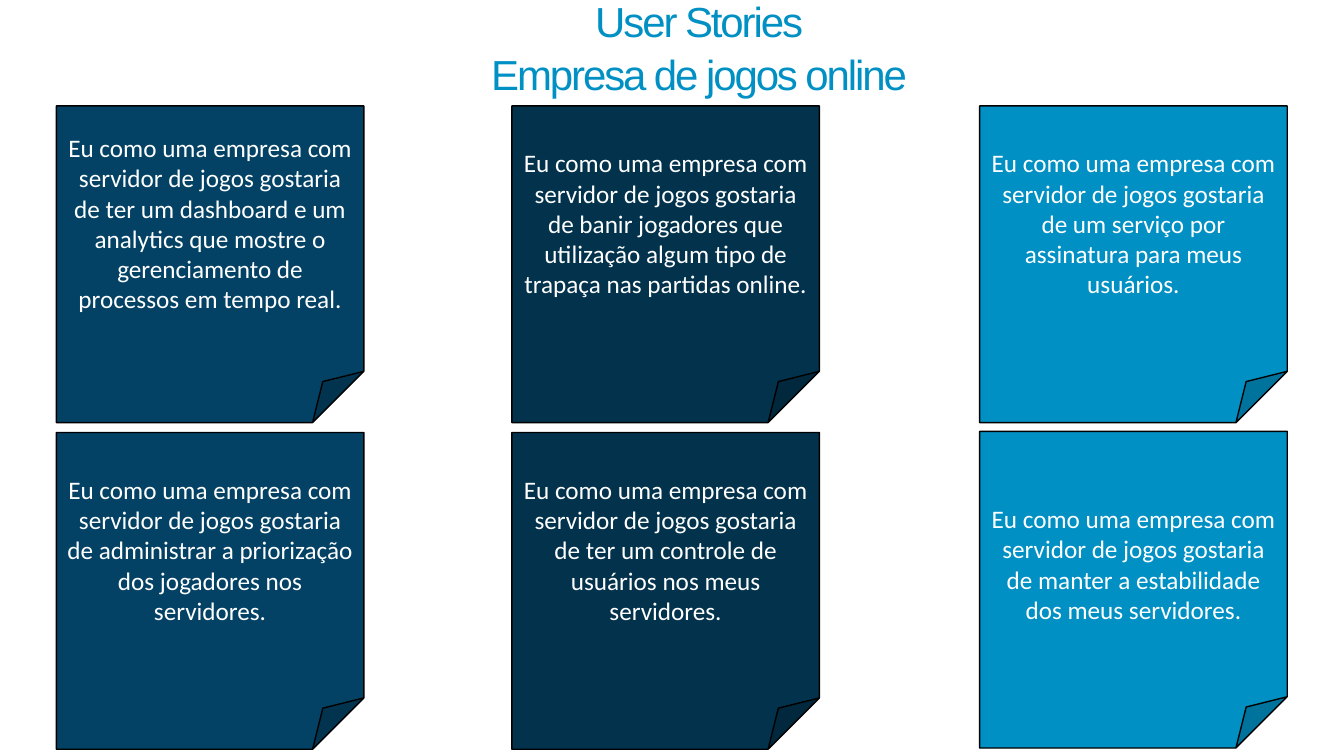
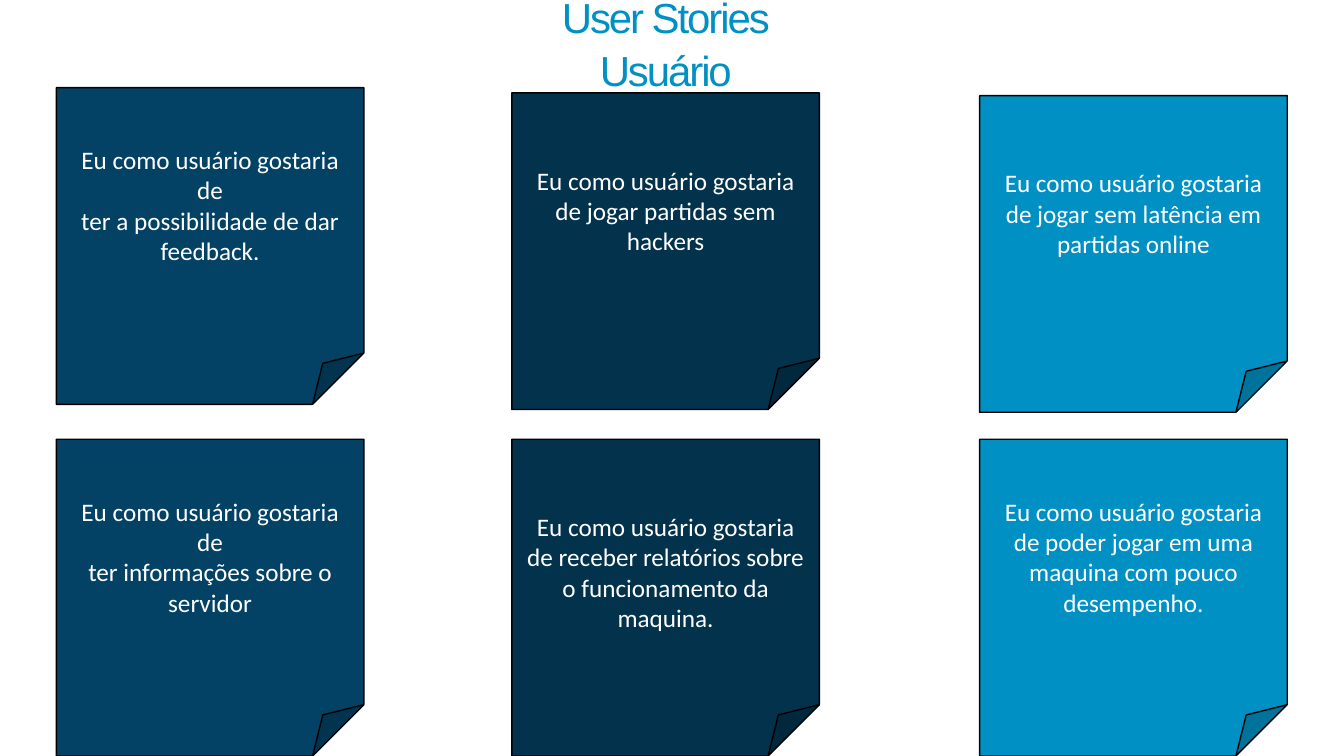
from dataclasses import dataclass
from typing import Any

from pptx import Presentation
from pptx.dml.color import RGBColor
from pptx.enum import shapes, text
from pptx.util import Cm, Pt

COLORS = {"navy": "034265", "midnight": "02324C", "sky": "0090C4",
          "outline": "000000", "white": "FFFFFF"}
COLUMNS = ((1.42, "navy"), (12.9, "midnight"), (24.69, "sky"))
NOTE_WIDTH, NOTE_HEIGHT = 7.75, 7.98
TITLE_HEIGHT = 2.82

TITLE_FONT = {"name": "Arial", "size": Pt(30), "bold": False}
NOTE_FONT = {"name": "Calibri", "size": Pt(18)}
TITLE_FRAME = {"word_wrap": True, "auto_size": text.MSO_AUTO_SIZE.NONE,
               "vertical_anchor": text.MSO_ANCHOR.MIDDLE,
               "margin_top": Cm(0.15), "margin_bottom": Cm(0.1)}
NOTE_FRAME = {"word_wrap": True, "vertical_anchor": text.MSO_ANCHOR.MIDDLE}
TITLE_PARAGRAPH = {"alignment": text.PP_ALIGN.CENTER, "line_spacing": 1.05}
NOTE_PARAGRAPH = {"alignment": text.PP_ALIGN.CENTER}


@dataclass(frozen=True)
class Note:
    top: float
    lines: tuple[str, ...]
    bottom_inset: float = 0.9


@dataclass(frozen=True)
class Board:
    title: tuple[str, ...]
    left: float
    top: float
    width: float
    rows: tuple[tuple[Note, ...], ...]


COMPANY = "Eu como uma empresa com servidor de jogos gostaria de "
USER = "Eu como usuário gostaria de"

BOARDS = (
    Board(("User Stories", "Empresa de jogos online"), 4.78, -0.28, 25.68, (
        (Note(2.67, (COMPANY + "ter um dashboard e um analytics que mostre o "
                     "gerenciamento de processos em tempo real.",)),
         Note(2.67, (COMPANY + "banir jogadores que utilização algum tipo de "
                     "trapaça nas partidas online.",)),
         Note(2.67, (COMPANY + "um serviço por assinatura para meus usuários.",))),
        (Note(10.9, (COMPANY + "administrar a priorização dos jogadores nos servidores.",)),
         Note(10.9, (COMPANY + "ter um controle de usuários nos meus servidores.",)),
         Note(10.87, (COMPANY + "manter a estabilidade dos meus servidores.",), 0.13)),
    )),
    Board(("User Stories", "Usuário"), 4.04, -0.38, 25.48, (
        (Note(2.21, (USER, "ter a possibilidade de dar feedback.")),
         Note(2.34, (USER + " jogar partidas sem hackers",)),
         Note(2.41, (USER + " jogar sem latência em partidas online",))),
        (Note(11.07, (USER, "ter informações sobre o servidor")),
         Note(11.07, (USER + " receber relatórios sobre o funcionamento da maquina.",), 0.13),
         Note(11.07, (USER + " poder jogar em uma maquina com pouco desempenho.",))),
    )),
)


def apply(target: Any, values: dict[str, Any]) -> None:
    for name, value in values.items():
        setattr(target, name, value)


def rgb(name: str) -> RGBColor:
    return RGBColor.from_string(COLORS[name])


def write_lines(tf: Any, lines: tuple[str, ...], font: dict[str, Any],
                paragraph: dict[str, Any], color: str, spacing: int = 0) -> None:
    for i, line in enumerate(lines):
        p = tf.add_paragraph() if i else tf.paragraphs[0]
        apply(p, paragraph)
        r = p.add_run()
        r.text = line
        apply(r.font, font)
        r.font.color.rgb = rgb(color)
        if spacing:
            r._r.get_or_add_rPr().set("spc", str(spacing))


def draw_title(s: Any, board: Board) -> None:
    sp = s.shapes.title
    apply(sp, {"left": Cm(board.left), "top": Cm(board.top),
               "width": Cm(board.width), "height": Cm(TITLE_HEIGHT)})
    apply(sp.text_frame, TITLE_FRAME)
    write_lines(sp.text_frame, board.title, TITLE_FONT, TITLE_PARAGRAPH, "sky", -150)


def draw_note(s: Any, note: Note, left: float, color: str) -> None:
    sp = s.shapes.add_shape(shapes.MSO_SHAPE.FOLDED_CORNER, Cm(left), Cm(note.top),
                            Cm(NOTE_WIDTH), Cm(NOTE_HEIGHT))
    sp.shadow.inherit = False
    sp.fill.solid()
    sp.fill.fore_color.rgb = rgb(color)
    sp.line.color.rgb = rgb("outline")
    sp.line.width = Pt(1)
    apply(sp.text_frame, NOTE_FRAME | {"margin_bottom": Cm(note.bottom_inset)})
    write_lines(sp.text_frame, note.lines, NOTE_FONT, NOTE_PARAGRAPH, "white")


def draw_board(prs: Any, board: Board) -> None:
    s = prs.slides.add_slide(prs.slide_layouts[5])
    draw_title(s, board)
    for row in board.rows:
        for note, (left, color) in zip(row, COLUMNS):
            draw_note(s, note, left, color)


prs = Presentation()
apply(prs, {"slide_width": Cm(33.87), "slide_height": Cm(19.05)})
for board in BOARDS:
    draw_board(prs, board)
prs.save("out.pptx")
